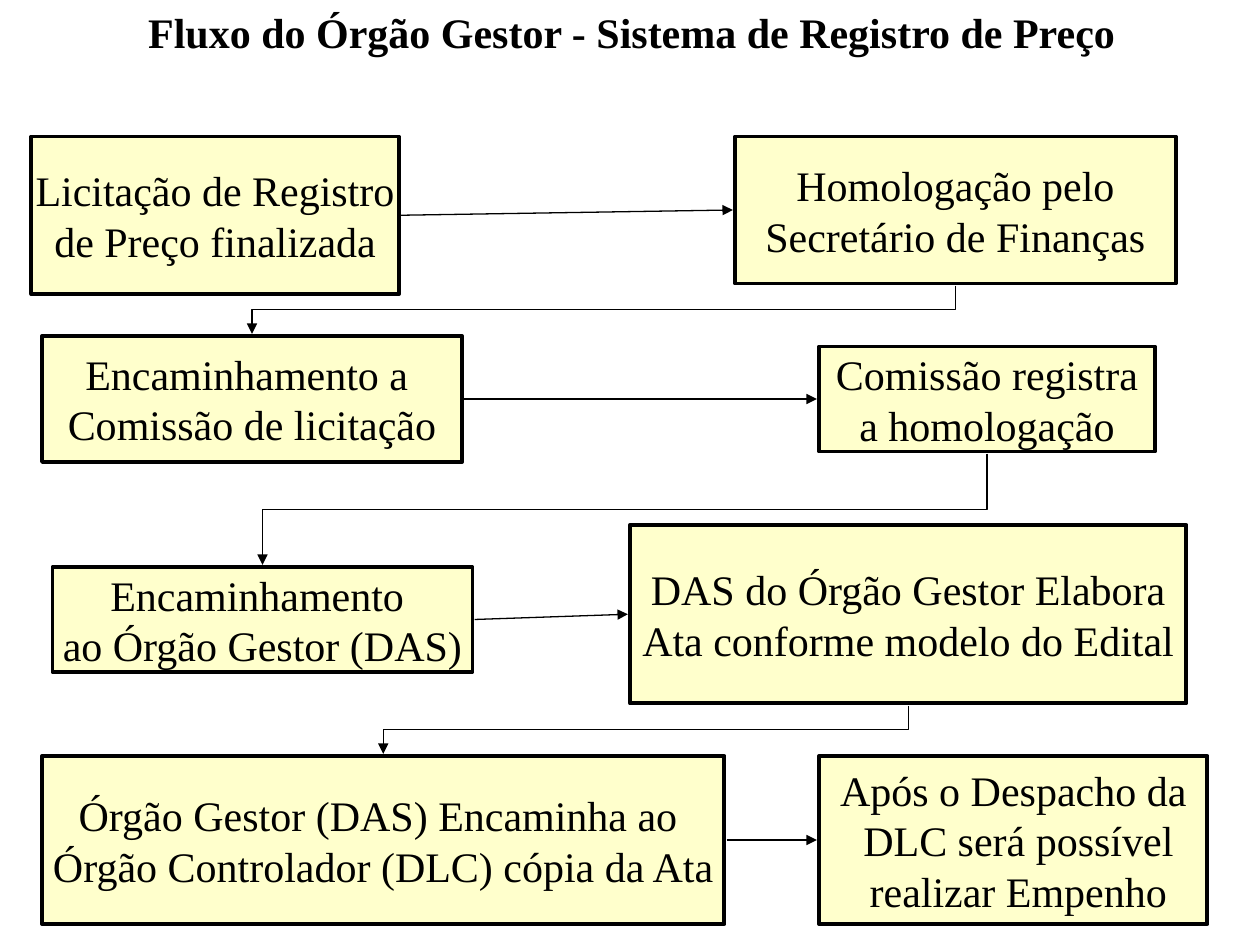
import pptx
import pptx.dml.color
import pptx.enum.shapes
import pptx.enum.text
import pptx.oxml.ns
import pptx.util

Pt = pptx.util.Pt
PROCESS = pptx.enum.shapes.MSO_SHAPE.FLOWCHART_PROCESS
RECTANGLE = pptx.enum.shapes.MSO_SHAPE.RECTANGLE
CONNECTOR = pptx.enum.shapes.MSO_CONNECTOR


def color(hex_string):
    return pptx.dml.color.RGBColor.from_string(hex_string)


class FlowSlide:
    font_name = "Times New Roman"
    font_size = 24
    ink = "000000"
    box_fill = "FFFFCC"
    box_line = 2.25
    arrow_line = 0.75
    gap = 1.2  # between a box edge and an arrow end

    def __init__(self, slide):
        self.slide = slide

    def set_text(self, shape, text, bold=False):
        frame = shape.text_frame
        frame.word_wrap = False
        frame.text = text
        for para in frame.paragraphs:
            para.alignment = pptx.enum.text.PP_ALIGN.CENTER
            for span in para.runs:
                span.font.name = self.font_name
                span.font.size = Pt(self.font_size)
                span.font.bold = bold
                span.font.color.rgb = color(self.ink)

    def title(self, text, left, top, width, height):
        box = self.slide.shapes.add_textbox(Pt(left), Pt(top), Pt(width), Pt(height))
        self.set_text(box, text, bold=True)
        box.text_frame.auto_size = pptx.enum.text.MSO_AUTO_SIZE.SHAPE_TO_FIT_TEXT

    def box(self, kind, text, left, top, width, height):
        box = self.slide.shapes.add_shape(kind, Pt(left), Pt(top), Pt(width), Pt(height))
        box.shadow.inherit = False
        box.fill.solid()
        box.fill.fore_color.rgb = color(self.box_fill)
        box.line.color.rgb = color(self.ink)
        box.line.width = Pt(self.box_line)
        self.set_text(box, text)
        box.text_frame.vertical_anchor = pptx.enum.text.MSO_ANCHOR.MIDDLE
        return box

    def connector(self, kind, *ends):
        arrow = self.slide.shapes.add_connector(kind, *(Pt(end) for end in ends))
        arrow.line.color.rgb = color(self.ink)
        arrow.line.width = Pt(self.arrow_line)
        head = pptx.oxml.ns.qn("a:tailEnd")
        arrow.get_or_add_ln().append(arrow.element.makeelement(head, {"type": "triangle"}))
        effects = pptx.oxml.ns.qn("a:effectLst")
        arrow.element.spPr.append(arrow.element.makeelement(effects, {}))
        return arrow

    def arrow_across(self, source, target):
        """Straight arrow from the right side of source to the left side of target."""
        self.connector(
            CONNECTOR.STRAIGHT,
            source.left.pt + source.width.pt + self.gap,
            source.top.pt + source.height.pt / 2,
            target.left.pt - self.gap,
            target.top.pt + target.height.pt / 2,
        )

    def arrow_down(self, source, target):
        """Elbow arrow from the bottom of source to the top of target, to its left."""
        start_x = source.left.pt + source.width.pt / 2
        start_y = source.top.pt + source.height.pt + self.gap
        end_x = target.left.pt + target.width.pt / 2
        end_y = target.top.pt - self.gap
        middle_x, middle_y = (start_x + end_x) / 2, (start_y + end_y) / 2
        half_run, half_drop = (start_x - end_x) / 2, (end_y - start_y) / 2
        # A quarter turn makes the elbow leave and arrive vertically.
        arrow = self.connector(
            CONNECTOR.ELBOW,
            middle_x - half_drop, middle_y - half_run,
            middle_x + half_drop, middle_y + half_run,
        )
        arrow.element.spPr.find(pptx.oxml.ns.qn("a:xfrm")).set("rot", "5400000")


STEPS = [
    (PROCESS, "Licitação de Registro\nde Preço finalizada", 18, 78, 210, 90),
    (PROCESS, "Homologação pelo\nSecretário de Finanças", 420, 78, 252, 84),
    (PROCESS, "Encaminhamento a \nComissão de licitação", 24, 192, 240, 72),
    (PROCESS, "Comissão registra\na homologação", 468, 198, 192, 60),
    (PROCESS, "Encaminhamento \nao Órgão Gestor (DAS)", 30, 324, 240, 60),
    (PROCESS, "DAS do Órgão Gestor Elabora\nAta conforme modelo do Edital", 360, 300, 318, 102),
    (RECTANGLE, "Órgão Gestor (DAS) Encaminha ao \nÓrgão Controlador (DLC) cópia da Ata",
     24, 432, 390, 96),
    (RECTANGLE, "Após o Despacho da\n DLC será possível\n realizar Empenho", 468, 432, 222, 96),
]


def main():
    deck = pptx.Presentation()
    deck.slide_width, deck.slide_height = Pt(720), Pt(540)
    page = FlowSlide(deck.slides.add_slide(deck.slide_layouts[6]))
    page.title("Fluxo do Órgão Gestor - Sistema de Registro de Preço", 77, 0, 568, 36)
    boxes = [page.box(*step) for step in STEPS]
    for index, (source, target) in enumerate(zip(boxes, boxes[1:])):
        if index % 2 == 0:
            page.arrow_across(source, target)
        else:
            page.arrow_down(source, target)
    deck.save("out.pptx")


if __name__ == "__main__":
    main()
